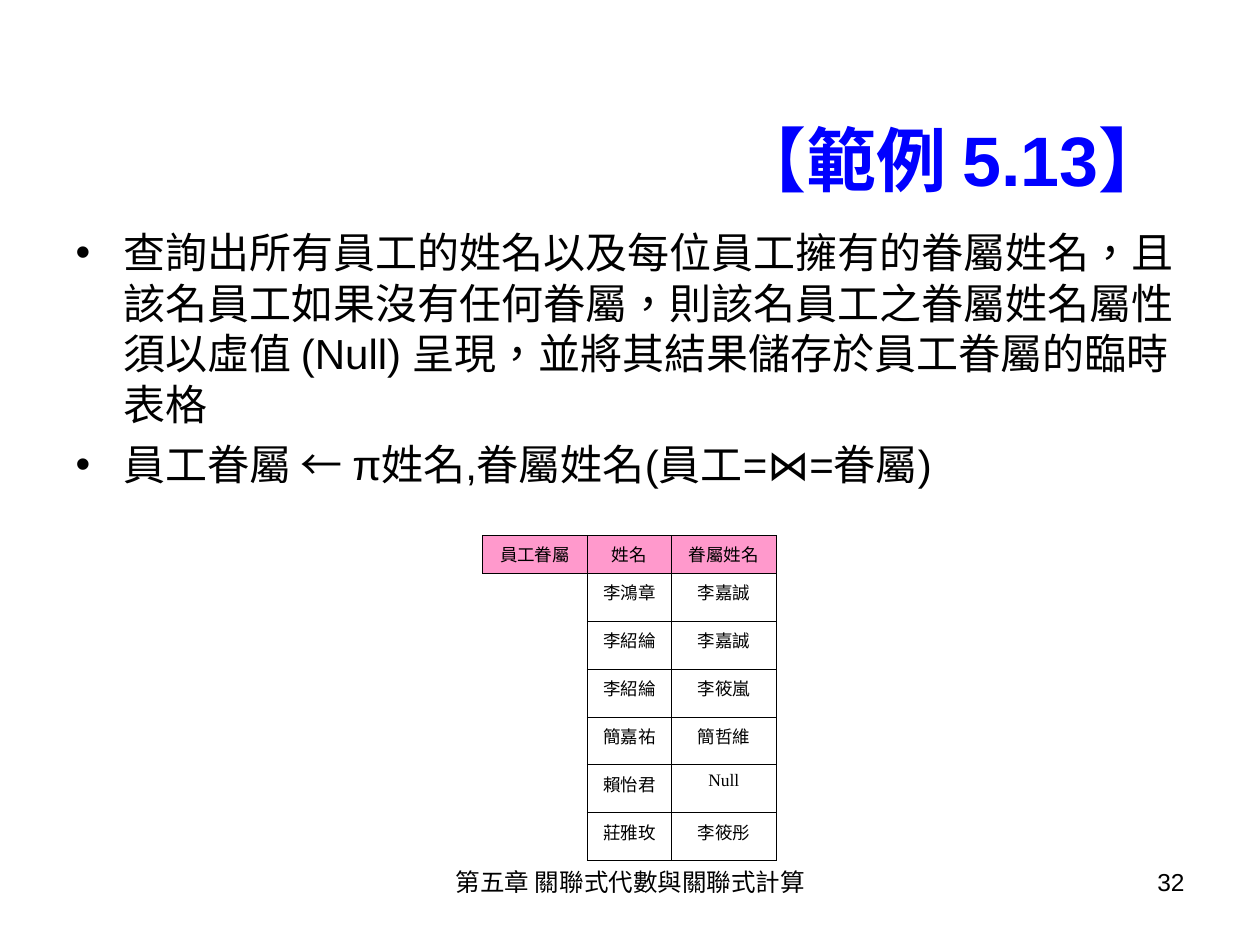
from dataclasses import dataclass

from lxml.etree import SubElement
from pptx import Presentation
from pptx.dml.color import RGBColor
from pptx.enum.text import MSO_ANCHOR, MSO_AUTO_SIZE, PP_ALIGN
from pptx.oxml.ns import qn
from pptx.util import Inches, Pt


@dataclass(frozen=True)
class Theme:
    ink: RGBColor = RGBColor(0, 0, 0)
    title: RGBColor = RGBColor(0, 0, 0xFF)
    header: RGBColor = RGBColor(0xFF, 0x99, 0xCC)
    paper: RGBColor = RGBColor(0xFF, 0xFF, 0xFF)
    sans: str = "Arial"
    serif: str = "Times New Roman"
    language: str = "zh-TW"
    title_size: int = 40
    body_size: int = 24
    footer_size: int = 14
    cell_size: int = 10
    border: float = 0.45


THEME = Theme()
MARGIN, CONTENT_WIDTH = 0.5, 9
FOOTER_TOP, FOOTER_HEIGHT = 6.83, 0.52
HANGING = 0.38
COLUMN_WIDTHS = (0.83, 0.67, 0.83)
HEADER_HEIGHT, ROW_HEIGHT = 0.3, 0.38
PLAIN_TABLE_STYLE = "{2D5ABB26-0587-4C30-8999-92F81FD0307C}"

TITLE = "【範例 5.13】 "
BULLETS = (
    "查詢出所有員工的姓名以及每位員工擁有的眷屬姓名，且該名員工如果沒有任何眷屬，"
    "則該名員工之眷屬姓名屬性須以虛值 (Null) 呈現，並將其結果儲存於員工眷屬的臨時表格",
    "員工眷屬 ← π姓名,眷屬姓名(員工=⋈=眷屬)",
)
HEADER = ("員工眷屬", "姓名", "眷屬姓名")
DEPENDENTS = (
    ("李鴻章", "李嘉誠"),
    ("李紹綸", "李嘉誠"),
    ("李紹綸", "李筱嵐"),
    ("簡嘉祐", "簡哲維"),
    ("賴怡君", "Null"),
    ("莊雅玫", "李筱彤"),
)


def place(shape, left, top, width, height):
    shape.left, shape.top = Inches(left), Inches(top)
    shape.width, shape.height = Inches(width), Inches(height)


def format_runs(paragraph, size, color=THEME.ink, name=THEME.sans, bold=False):
    for run in paragraph.runs:
        font = run.font
        font.size, font.name, font.bold = Pt(size), name, bold
        font.color.rgb = color
        run._r.get_or_add_rPr().set("lang", THEME.language)


def fill_title(title):
    place(title, MARGIN, 0.92, CONTENT_WIDTH, 0.67)
    frame = title.text_frame
    frame.text = TITLE
    frame.auto_size = MSO_AUTO_SIZE.NONE
    frame.vertical_anchor = MSO_ANCHOR.MIDDLE
    paragraph = frame.paragraphs[0]
    paragraph.alignment = PP_ALIGN.RIGHT
    format_runs(paragraph, THEME.title_size, THEME.title, bold=True)


def fill_bullets(body):
    place(body, MARGIN, 1.75, CONTENT_WIDTH, 5.42)
    frame = body.text_frame
    frame.text = "\n".join(BULLETS)
    frame.auto_size = MSO_AUTO_SIZE.NONE
    for index, paragraph in enumerate(frame.paragraphs):
        properties = paragraph._p.get_or_add_pPr()
        properties.set("marL", str(Inches(HANGING)))
        properties.set("indent", str(-Inches(HANGING)))
        SubElement(properties, qn("a:buFont"), typeface=THEME.sans)
        SubElement(properties, qn("a:buChar"), char="•")
        paragraph.space_before = Pt(6 if index else 0)
        format_runs(paragraph, THEME.body_size)


def add_footer(slide, text, left, width, alignment):
    box = slide.shapes.add_textbox(
        Inches(left), Inches(FOOTER_TOP), Inches(width), Inches(FOOTER_HEIGHT)
    )
    frame = box.text_frame
    frame.word_wrap = True
    frame.text = text
    frame.paragraphs[0].alignment = alignment
    format_runs(frame.paragraphs[0], THEME.footer_size)


def add_borders(cell):
    properties = cell._tc.get_or_add_tcPr()
    for side in ("lnL", "lnR", "lnT", "lnB"):
        line = SubElement(properties, qn(f"a:{side}"), w=str(Pt(THEME.border)))
        fill = SubElement(line, qn("a:solidFill"))
        SubElement(fill, qn("a:srgbClr"), val=str(THEME.ink))


def fill_cell(cell, text, color):
    add_borders(cell)
    cell.fill.solid()
    cell.fill.fore_color.rgb = color
    cell.text = text
    paragraph = cell.text_frame.paragraphs[0]
    paragraph.alignment = PP_ALIGN.CENTER
    format_runs(paragraph, THEME.cell_size, name=THEME.serif)


def clear_cell(cell):
    """Leave the cell open, without margins that would stretch its row."""
    cell.fill.background()
    cell.margin_top = cell.margin_bottom = 0
    SubElement(
        cell.text_frame.paragraphs[0]._p,
        qn("a:endParaRPr"),
        sz=str(THEME.cell_size * 100),
    )


def add_dependents_table(slide):
    rows = (HEADER, *((None, *names) for names in DEPENDENTS))
    heights = (HEADER_HEIGHT, *(ROW_HEIGHT for _ in DEPENDENTS))
    frame = slide.shapes.add_table(
        len(rows), len(HEADER), Inches(3.83), Inches(4.25),
        Inches(sum(COLUMN_WIDTHS)), Inches(sum(heights)),
    )
    table = frame.table
    table.first_row = table.horz_banding = False
    table._tbl.tblPr.find(qn("a:tableStyleId")).text = PLAIN_TABLE_STYLE
    for column, width in zip(table.columns, COLUMN_WIDTHS):
        column.width = Inches(width)
    for row_index, (texts, height) in enumerate(zip(rows, heights)):
        table.rows[row_index].height = Inches(height)
        color = THEME.paper if row_index else THEME.header
        for column_index, text in enumerate(texts):
            cell = table.cell(row_index, column_index)
            if text is None:
                clear_cell(cell)
            else:
                fill_cell(cell, text, color)


def main():
    presentation = Presentation()
    presentation.slide_width, presentation.slide_height = Inches(10), Inches(7.5)
    slide = presentation.slides.add_slide(presentation.slide_layouts[1])
    add_footer(slide, "第五章 關聯式代數與關聯式計算", 3.42, 3.17, PP_ALIGN.CENTER)
    add_footer(slide, "32", 7.17, 2.33, PP_ALIGN.RIGHT)
    fill_title(slide.shapes.title)
    fill_bullets(slide.placeholders[1])
    add_dependents_table(slide)
    presentation.save("out.pptx")


if __name__ == "__main__":
    main()
